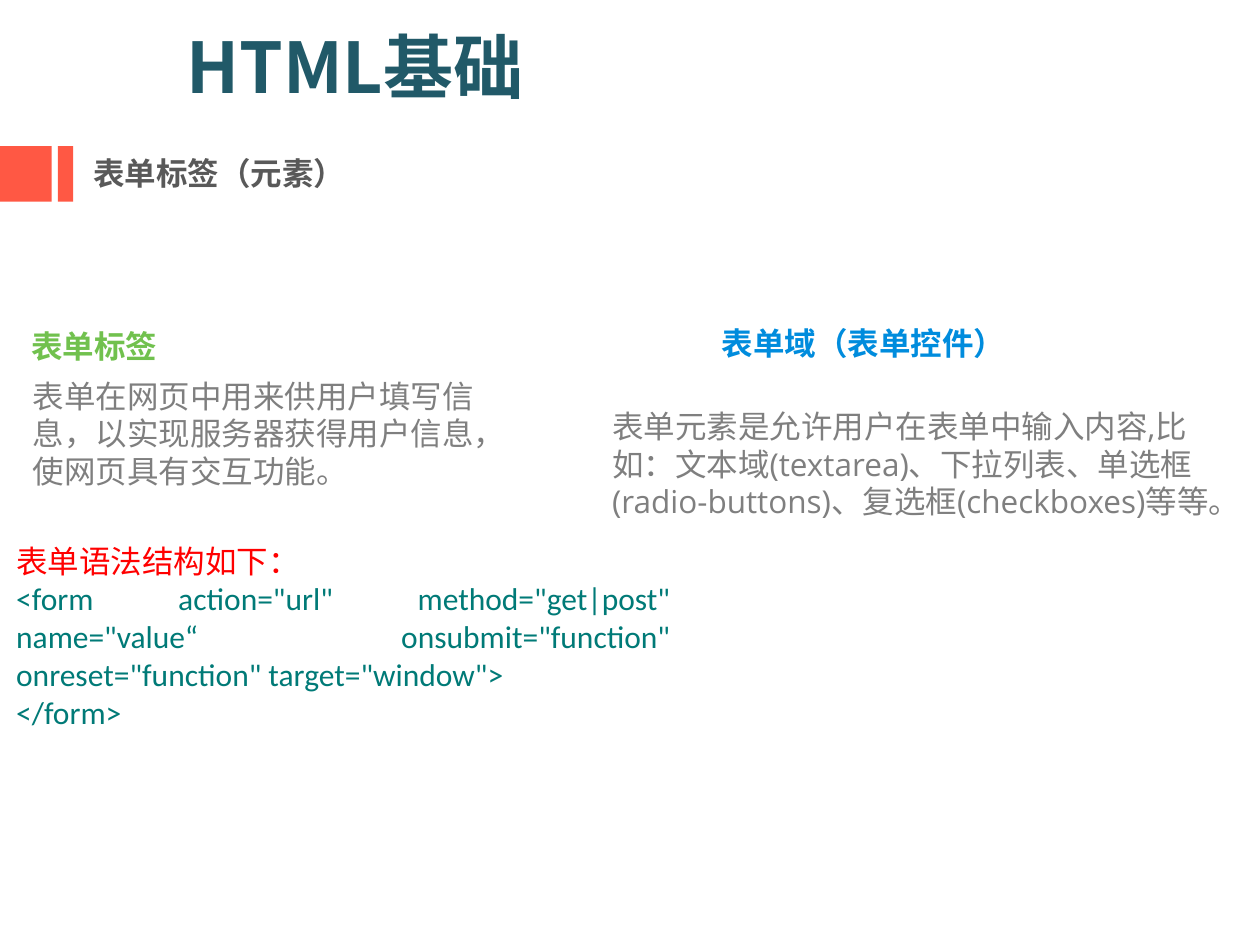
import pptx
import pptx.dml.color
import pptx.enum.shapes
import pptx.enum.text
import pptx.oxml
import pptx.oxml.ns
import pptx.util

COLORS = {
    "accent": "FF5844", "title": "215968", "section": "595959",
    "green": "71C14E", "blue": "008CDD", "body": "7F7F7F",
    "red": "FF0000", "code": "007A77",
}
CJK = "Noto Sans CJK SC"
LATIN = "Open Sans"
CODE_FONT = "Calibri"
EXACT = pptx.util.Pt(21.6)

# Content: (paragraphs as (text, color), left, top, width, height, format)
TITLE = ([("HTML基础", "title")], 1.38, 0.21, 7.98, 0.77,
         dict(size=40, font=CJK, bold=True, spacing=0.9))
TEXTS = [
    ([("表单标签（元素）", "section")], 0.64, 1.21, 3.11, 0.4,
     dict(font=CJK, bold=True, spacing=0.9)),
    ([("表单标签", "green")], 0.15, 2.55, 2.52, 0.4, dict(bold=True)),
    ([("表单在网页中用来供用户填写信息，以实现服务器获得用户信息，使网页具有交互功能。", "body")],
     0.16, 2.94, 3.81, 1.0, {}),
    ([("表单语法结构如下：", "red"),
      ('<form action="url" method="get|post" name="value“ onsubmit="function" '
       'onreset="function" target="window">', "code"),
      ("</form>", "code")],
     0.03, 4.25, 5.39, 1.9, dict(font=CODE_FONT, justify=True)),
    ([("表单域（表单控件）", "blue")], 5.63, 2.52, 2.59, 0.4, dict(bold=True)),
    ([("表单元素是允许用户在表单中输入内容,比如：文本域(textarea)、下拉列表、"
       "单选框(radio-buttons)、复选框(checkboxes)等等。", "body")],
     4.76, 3.18, 5.0, 1.3, {}),
]
MARKER_BARS = [(0, 0.41), (0.46, 0.12)]  # left, width
MARKER_TOP, MARKER_HEIGHT = 1.16, 0.44


def rgb(name):
    return pptx.dml.color.RGBColor.from_string(COLORS[name])


def place(shape, *box):
    shape.left, shape.top, shape.width, shape.height = map(pptx.util.Inches, box)


def write(shape, paragraphs, size=18, font=LATIN, bold=False,
          justify=False, spacing=EXACT):
    frame = shape.text_frame
    frame.word_wrap = True
    frame.auto_size = pptx.enum.text.MSO_AUTO_SIZE.NONE
    frame.vertical_anchor = pptx.enum.text.MSO_ANCHOR.TOP
    align = pptx.enum.text.PP_ALIGN
    for index, (text, color) in enumerate(paragraphs):
        paragraph = frame.add_paragraph() if index else frame.paragraphs[0]
        paragraph.alignment = align.JUSTIFY if justify else align.LEFT
        paragraph.line_spacing = spacing
        paragraph.space_before = paragraph.space_after = pptx.util.Pt(0)
        run = paragraph.add_run()
        run.text = text
        run.font.size = pptx.util.Pt(size)
        run.font.bold = bold
        run.font.color.rgb = rgb(color)
        run.font.name = font
        # East Asian typeface follows the Latin one
        east_asian = pptx.oxml.parse_xml(
            f'<a:ea {pptx.oxml.ns.nsdecls("a")} typeface="{CJK}"/>')
        run.font._element.find(pptx.oxml.ns.qn("a:latin")).addnext(east_asian)


def main():
    deck = pptx.Presentation()
    deck.slide_width = pptx.util.Inches(10)
    deck.slide_height = pptx.util.Inches(7.5)
    slide = deck.slides.add_slide(deck.slide_layouts[5])

    # Section marker
    for left, width in MARKER_BARS:
        bar = slide.shapes.add_shape(
            pptx.enum.shapes.MSO_SHAPE.RECTANGLE, 0, 0, 0, 0)
        place(bar, left, MARKER_TOP, width, MARKER_HEIGHT)
        bar.shadow.inherit = False
        bar.fill.solid()
        bar.fill.fore_color.rgb = rgb("accent")
        bar.line.fill.background()

    # Title and text blocks
    paragraphs, *box, style = TITLE
    place(slide.shapes.title, *box)
    write(slide.shapes.title, paragraphs, **style)
    for paragraphs, *box, style in TEXTS:
        block = slide.shapes.add_textbox(0, 0, 0, 0)
        place(block, *box)
        write(block, paragraphs, **style)

    deck.save("out.pptx")


if __name__ == "__main__":
    main()
